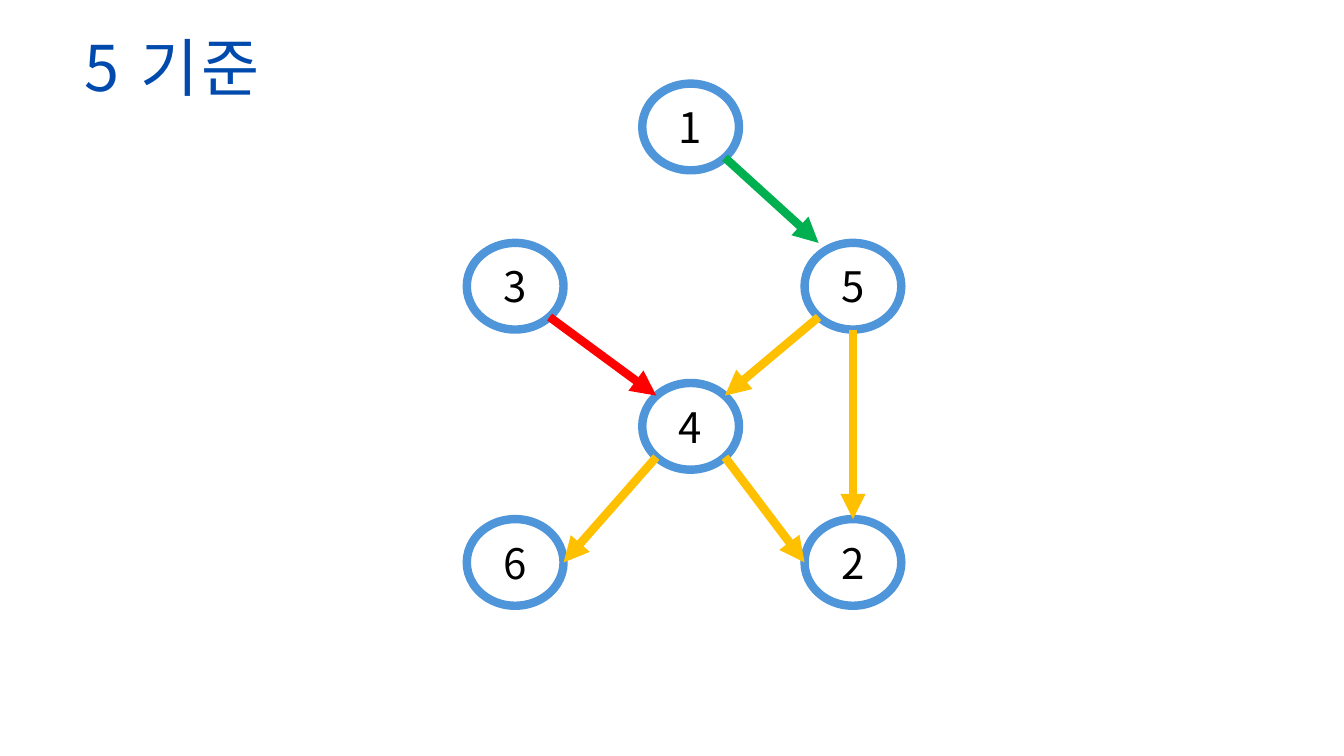
from lxml import etree
from pptx import Presentation
from pptx.dml.color import RGBColor
from pptx.enum import shapes, text
from pptx.oxml import ns
from pptx.util import Inches, Pt

FONT = "Noto Sans CJK KR"
COLORS = {
    "ring": "4E95D9", "white": "FFFFFF", "black": "000000", "title": "004AAD",
    "green": "00B050", "amber": "FFC000", "red": "FF0000",
}
NODE_W, NODE_H = 0.96, 0.86
STROKE = Pt(6)
DIAG = 0.71

# Centre of each node
NODES = {
    "1": (6.85, 1.26), "5": (8.46, 2.84), "4": (6.85, 4.23),
    "3": (5.11, 2.84), "2": (8.46, 5.58), "6": (5.11, 5.58),
}
# Start node and side, end node and side, colour; sides are in half sizes
EDGES = [
    ("1", (DIAG, DIAG), "5", (-DIAG, -1), "green"),
    ("5", (0, 1), "2", (0, -1), "amber"),
    ("5", (-DIAG, DIAG), "4", (DIAG, -DIAG), "amber"),
    ("3", (DIAG, DIAG), "4", (-DIAG, -DIAG), "red"),
    ("4", (-DIAG, DIAG), "6", (1, 0), "amber"),
    ("4", (DIAG, DIAG), "2", (-1, 0), "amber"),
]


def rgb(name):
    return RGBColor.from_string(COLORS[name])


def write(shape, words, size, color, anchor, space=None, line=None):
    frame = shape.text_frame
    frame.vertical_anchor = anchor
    para = frame.paragraphs[0]
    para.alignment = text.PP_ALIGN.CENTER
    if line:
        para.line_spacing = Pt(line)
    run = para.add_run()
    run.text = words
    run.font.size = Pt(size)
    run.font.name = FONT
    run.font.color.rgb = rgb(color)
    props = run.font._element
    etree.SubElement(props, ns.qn("a:ea"), typeface=FONT)
    if space:
        props.set("spc", str(round(space * 100)))


def add_title(slide):
    title = slide.shapes.title
    title.left, title.top = Inches(0.14), Inches(0)
    title.width, title.height = Inches(3.13), Inches(1.05)
    frame = title.text_frame
    frame.margin_left = frame.margin_right = 0
    frame.margin_top = frame.margin_bottom = 0
    frame.word_wrap = True
    frame.auto_size = text.MSO_AUTO_SIZE.SHAPE_TO_FIT_TEXT
    write(title, "5 기준", 45, "title", text.MSO_ANCHOR.TOP, space=2.2, line=74.7)


def add_node(slide, label, x, y):
    node = slide.shapes.add_shape(
        shapes.MSO_SHAPE.OVAL, Inches(x - NODE_W / 2), Inches(y - NODE_H / 2),
        Inches(NODE_W), Inches(NODE_H))
    node.shadow.inherit = False
    node.fill.solid()
    node.fill.fore_color.rgb = rgb("white")
    node.line.color.rgb = rgb("ring")
    node.line.width = STROKE
    write(node, label, 30, "black", text.MSO_ANCHOR.MIDDLE)


def rim(label, side):
    """Return the point on a node's edge that lies on the given side."""
    x, y = NODES[label]
    return Inches(x + side[0] * NODE_W / 2), Inches(y + side[1] * NODE_H / 2)


def add_arrow(slide, start, end, color):
    arrow = slide.shapes.add_connector(
        shapes.MSO_CONNECTOR.STRAIGHT, *start, *end)
    arrow.line.color.rgb = rgb(color)
    arrow.line.width = STROKE
    etree.SubElement(arrow.line._get_or_add_ln(), ns.qn("a:tailEnd"), type="triangle")
    etree.SubElement(arrow._element.spPr, ns.qn("a:effectLst"))


def main():
    deck = Presentation()
    deck.slide_width, deck.slide_height = Inches(13.33), Inches(7.5)
    slide = deck.slides.add_slide(deck.slide_layouts[5])
    for label, (x, y) in NODES.items():
        add_node(slide, label, x, y)
    for tail, out, head, into, color in EDGES:
        add_arrow(slide, rim(tail, out), rim(head, into), color)
    add_title(slide)
    deck.save("out.pptx")


if __name__ == "__main__":
    main()
